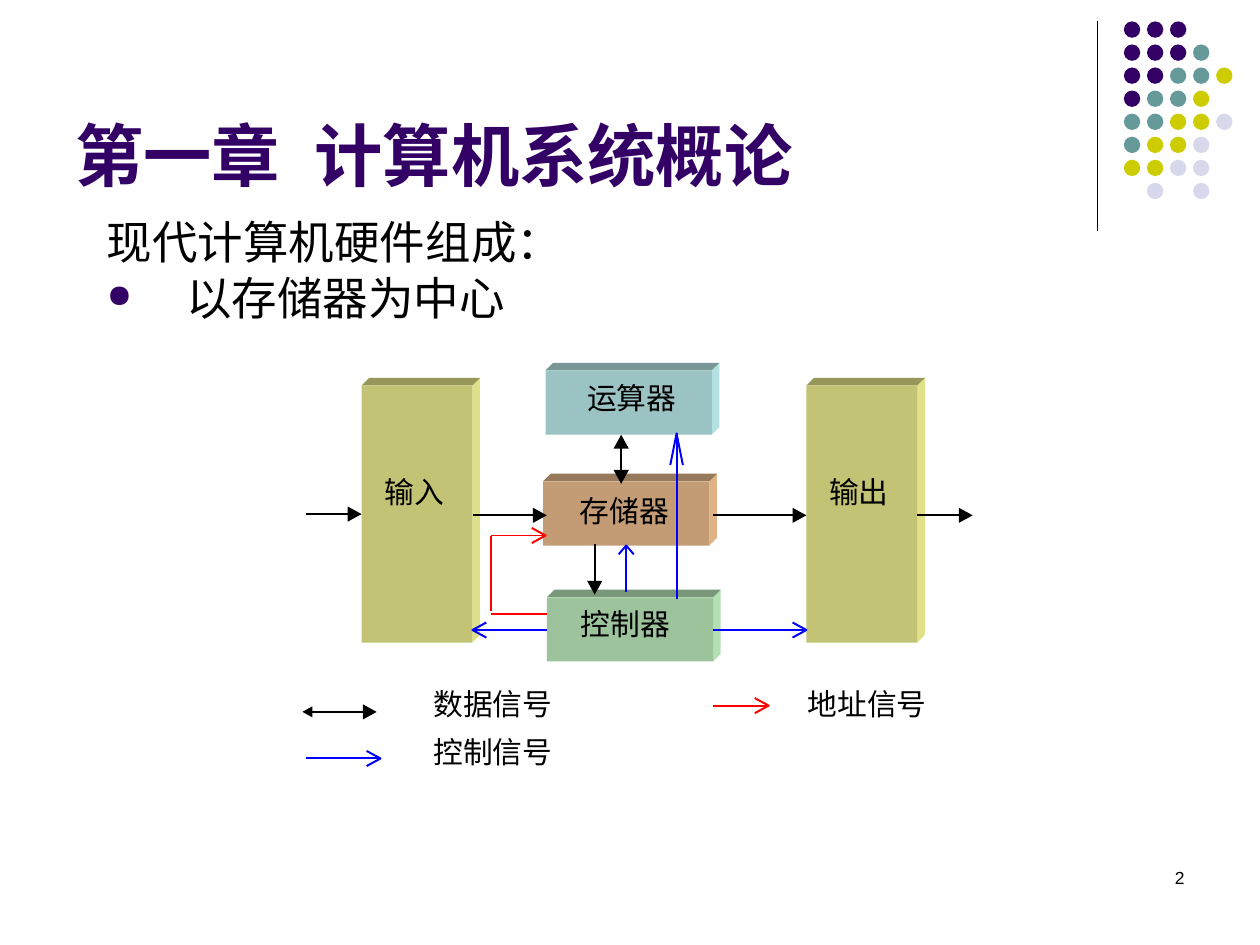
import math

from lxml import etree
from pptx import Presentation
from pptx.dml.color import RGBColor
from pptx.enum import shapes, text
from pptx.oxml import ns
from pptx.util import Inches, Pt

BLACK = RGBColor(0x00, 0x00, 0x00)
PURPLE = RGBColor(0x33, 0x00, 0x66)
TEAL = RGBColor(0x66, 0x99, 0x99)
LIME = RGBColor(0xCC, 0xCC, 0x00)
LAVENDER = RGBColor(0xD8, 0xD8, 0xEC)
RED = RGBColor(0xFF, 0x00, 0x00)
BLUE = RGBColor(0x00, 0x00, 0xFF)
OLIVE_FACES = RGBColor(0xC3, 0xC3, 0x75), RGBColor(0x97, 0x97, 0x5B), RGBColor(0xE0, 0xE0, 0x86)
BROWN_FACES = RGBColor(0xC3, 0x9C, 0x75), RGBColor(0x97, 0x79, 0x5B), RGBColor(0xE0, 0xB3, 0x86)
CYAN_FACES = RGBColor(0x9C, 0xC3, 0xC3), RGBColor(0x79, 0x97, 0x97), RGBColor(0xB3, 0xE0, 0xE0)
GREEN_FACES = RGBColor(0x9C, 0xC3, 0x9C), RGBColor(0x79, 0x97, 0x79), RGBColor(0xB3, 0xE0, 0xB3)
CJK_FONT = "Noto Sans CJK SC"
DOT_COLORS = {"P": PURPLE, "T": TEAL, "Y": LIME, "L": LAVENDER}
DOT_ROWS = ["PPP", "PPPT", "PPTTY", "PTTY", "TTYYL", "TYYL", "YYLL", ".L.L"]


def set_font(paragraph, size, color, latin="Arial", bold=False):
    """Set the font of a whole paragraph, East Asian face included."""
    font = paragraph.font
    font.size, font.bold, font.name = Pt(size), bold, latin
    font.color.rgb = color
    east_asian = etree.SubElement(font._element, ns.qn("a:ea"))
    east_asian.set("typeface", CJK_FONT)


def add_text(page, left, top, width, height, lines, inset=True):
    """Add a text box with one paragraph per line and return its frame."""
    box = page.shapes.add_textbox(Inches(left), Inches(top), Inches(width), Inches(height))
    frame = box.text_frame
    frame.word_wrap = inset
    if not inset:
        frame.margin_left = frame.margin_right = frame.margin_top = frame.margin_bottom = 0
    frame.text = "\n".join(lines)
    return frame


def add_label(page, left, top, words):
    """Add a diagram label in tight bounds."""
    frame = add_text(page, left, top, 0.24 * len(words), 0.28, [words], inset=False)
    set_font(frame.paragraphs[0], 17, BLACK, CJK_FONT)


def add_line(page, start, end, color, width=1.13):
    """Add a straight connector without shadow."""
    line = page.shapes.add_connector(
        shapes.MSO_CONNECTOR.STRAIGHT, *(Inches(value) for value in (*start, *end)))
    line.line.color.rgb = color
    line.line.width = Pt(width)
    etree.SubElement(line._element.spPr, ns.qn("a:effectLst"))


def add_outline(page, points, color, closed=True):
    """Add a filled polygon, or an open stroked path."""
    corners = [(Inches(x), Inches(y)) for x, y in points]
    builder = page.shapes.build_freeform(*corners[0], scale=1.0)
    builder.add_line_segments(corners[1:], close=closed)
    shape = builder.convert_to_shape()
    shape.shadow.inherit = False
    if closed:
        shape.fill.solid()
        shape.fill.fore_color.rgb = color
        shape.line.fill.background()
    else:
        shape.fill.background()
        shape.line.color.rgb = color
        shape.line.width = Pt(1.13)


def add_head(page, tip, angle, color, solid, length=0.11, half=0.06):
    """Add an arrowhead whose tip points along the angle."""
    along, across = math.cos(angle), math.sin(angle)
    back_x, back_y = tip[0] - length * along, tip[1] - length * across
    points = [(back_x - half * across, back_y + half * along), tip,
              (back_x + half * across, back_y - half * along)]
    add_outline(page, points, color, closed=solid)


def add_arrow(page, start, end, color, length=0.11, half=0.06, back_length=0):
    """Add a solid data arrow in black, or an open signal arrow in another color."""
    solid = color == BLACK
    angle = math.atan2(end[1] - start[1], end[0] - start[0])

    def shift(point, distance):
        return point[0] + distance * math.cos(angle), point[1] + distance * math.sin(angle)

    add_line(page, shift(start, 0.07 if back_length else 0),
             shift(end, -0.07 if solid else 0), color)
    add_head(page, end, angle, color, solid, length, half)
    if back_length:
        add_head(page, start, angle + math.pi, color, solid, back_length, back_length * 0.55)


def add_block(page, left, top, width, height, faces, depth=0.06):
    """Add a block with a front, a top and a right side."""
    front, lid, side = faces
    right, bottom = left + width, top + height
    add_outline(page, [(right, bottom), (right, top), (right + depth, top - depth),
                       (right + depth, bottom - depth)], side)
    add_outline(page, [(right, top), (left, top), (left + depth, top - depth),
                       (right + depth, top - depth)], lid)
    face = page.shapes.add_shape(shapes.MSO_SHAPE.RECTANGLE, Inches(left), Inches(top),
                                 Inches(width), Inches(height))
    face.shadow.inherit = False
    face.fill.solid()
    face.fill.fore_color.rgb = front
    face.line.fill.background()


def add_ornament(page, left, top):
    """Add the rule and the dot grid of the corner."""
    add_line(page, (left, top), (left, top + 1.66), BLACK, 0.75)
    for row, codes in enumerate(DOT_ROWS):
        for column, code in enumerate(codes):
            if code in DOT_COLORS:
                dot = page.shapes.add_shape(
                    shapes.MSO_SHAPE.OVAL, Inches(left + 0.21 + column * 0.183),
                    Inches(top + row * 0.183), Inches(0.13), Inches(0.13))
                dot.shadow.inherit = False
                dot.fill.solid()
                dot.fill.fore_color.rgb = DOT_COLORS[code]
                dot.line.fill.background()


def add_title(page, left, top, width, height):
    """Add the chapter title, with a widened gap after the number."""
    frame = add_text(page, left, top, width, height, [""])
    frame.vertical_anchor = text.MSO_ANCHOR.BOTTOM
    frame.margin_bottom = 0
    paragraph = frame.paragraphs[0]
    set_font(paragraph, 39, PURPLE, bold=True)
    for words in ("第一章", " ", "计算机系统概论"):
        span = paragraph.add_run()
        span.text = words
        if words == " ":
            span.font._element.set("spc", "1080")


def add_body(page, left, top, width, height):
    """Add the lead line and its bullet."""
    frame = add_text(page, left, top, width, height, ["现代计算机硬件组成：", "以存储器为中心"])
    for index, paragraph in enumerate(frame.paragraphs):
        paragraph.line_spacing = 0.9
        properties = paragraph._p.get_or_add_pPr()
        properties.set("marL", str(Inches(0.63)))
        properties.set("indent", str(-Inches(0.63)))
        if index:
            paragraph.space_before = Pt(4)
            color = etree.SubElement(properties, ns.qn("a:buClr"))
            etree.SubElement(color, ns.qn("a:srgbClr")).set("val", str(PURPLE))
            etree.SubElement(properties, ns.qn("a:buSzPct")).set("val", "70000")
            etree.SubElement(properties, ns.qn("a:buChar")).set("char", "●")
        set_font(paragraph, 26, BLACK)


def add_diagram(page, left, top):
    """Add the five hardware units and the signals between them."""
    def at(x, y):
        return left + x, top + y

    units = [("存储器", 1.91, 0.94, 1.32, 0.51, BROWN_FACES, 0.29, 0.09),
             ("输出", 4, 0.18, 0.88, 2.04, OLIVE_FACES, 0.18, 0.7),
             ("输入", 0.47, 0.18, 0.88, 2.04, OLIVE_FACES, 0.18, 0.7),
             ("运算器", 1.93, 0.06, 1.32, 0.51, CYAN_FACES, 0.33, 0.07),
             ("控制器", 1.94, 1.86, 1.32, 0.51, GREEN_FACES, 0.27, 0.07)]
    for name, x, y, width, height, faces, label_x, label_y in units:
        add_block(page, *at(x, y), width, height, faces)
        add_label(page, *at(x + label_x, y + label_y), name)
    for x, y, end in [(0.03, 1.2, 0.47), (1.35, 1.21, 1.94), (3.26, 1.21, 4), (4.88, 1.21, 5.32)]:
        add_arrow(page, at(x, y), at(end, y), BLACK)
    add_arrow(page, at(2.53, 0.96), at(2.53, 0.57), BLACK, back_length=0.11)
    add_arrow(page, at(2.32, 1.44), at(2.32, 1.84), BLACK)
    add_line(page, at(1.5, 1.99), at(1.94, 1.99), RED)
    add_line(page, at(1.5, 1.37), at(1.5, 1.97), RED)
    add_arrow(page, at(1.5, 1.37), at(1.93, 1.37), RED)
    add_arrow(page, at(1.94, 2.12), at(1.35, 2.12), BLUE)
    add_arrow(page, at(3.26, 2.12), at(4, 2.12), BLUE)
    add_arrow(page, at(2.57, 1.82), at(2.57, 1.45), BLUE, length=0.07)
    add_arrow(page, at(2.97, 1.87), at(2.97, 0.56), BLUE, length=0.25, half=0.05)


def add_legend(page, left, top):
    """Add the key to the three kinds of signal."""
    keys = [("数据信号", 1.04, 0, 0, 0.59, 0.21, BLACK, 0.08),
            ("控制信号", 1.04, 0.38, 0.03, 0.62, 0.58, BLUE, 0),
            ("地址信号", 4.01, 0, 3.26, 3.7, 0.16, RED, 0)]
    for name, x, y, start, end, height, color, back_length in keys:
        add_label(page, left + x, top + y, name)
        add_arrow(page, (left + start, top + height), (left + end, top + height), color,
                  back_length=back_length)


def add_page_number(page, left, top, width, height):
    """Add the page number at the right of its box."""
    paragraph = add_text(page, left, top, width, height, ["2"]).paragraphs[0]
    paragraph.alignment = text.PP_ALIGN.RIGHT
    set_font(paragraph, 10, BLACK)


def main():
    """Build the slide and save the deck."""
    deck = Presentation()
    deck.slide_width, deck.slide_height = Inches(10), Inches(7.5)
    page = deck.slides.add_slide(deck.slide_layouts[6])
    add_ornament(page, 8.71, 0.17)
    add_page_number(page, 7.17, 6.83, 2.33, 0.5)
    add_title(page, 0.5, 0.13, 8.25, 1.42)
    add_body(page, 0.75, 1.7, 7.01, 4.82)
    add_diagram(page, 2.4, 2.88)
    add_legend(page, 2.4, 5.44)
    deck.save("out.pptx")


if __name__ == "__main__":
    main()
